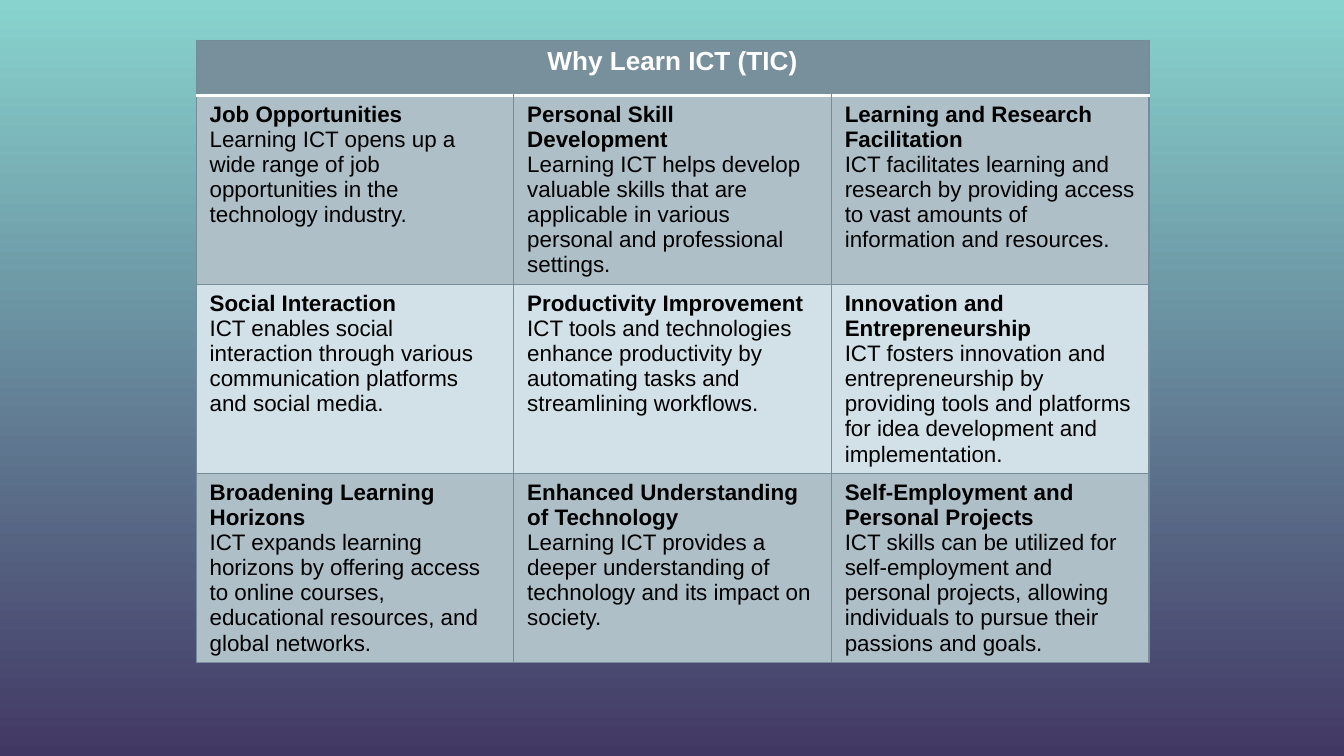
"""Build a slide with a table of reasons to learn ICT."""
from typing import NamedTuple

from lxml import etree
from pptx import Presentation
from pptx import util as u
from pptx.dml.color import RGBColor
from pptx.enum import text
from pptx.oxml import ns

HEADER, BORDER, WHITE, BLACK = "78909C", "748D99", "FFFFFF", "000000"
BANDS = ("AEBFC8", "D2E0E7")
COLUMNS = 3


class Reason(NamedTuple):
    heading: str
    detail: str


REASONS = [
    Reason("Job Opportunities",
           "Learning ICT opens up a wide range of job opportunities in the technology industry."),
    Reason("Personal Skill Development",
           "Learning ICT helps develop valuable skills that are applicable in various "
           "personal and professional settings."),
    Reason("Learning and Research Facilitation",
           "ICT facilitates learning and research by providing access to vast amounts of "
           "information and resources."),
    Reason("Social Interaction",
           "ICT enables social interaction through various communication platforms and social media."),
    Reason("Productivity Improvement",
           "ICT tools and technologies enhance productivity by automating tasks and "
           "streamlining workflows."),
    Reason("Innovation and Entrepreneurship",
           "ICT fosters innovation and entrepreneurship by providing tools and platforms "
           "for idea development and implementation."),
    Reason("Broadening Learning Horizons",
           "ICT expands learning horizons by offering access to online courses, educational "
           "resources, and global networks."),
    Reason("Enhanced Understanding of Technology",
           "Learning ICT provides a deeper understanding of technology and its impact on society."),
    Reason("Self-Employment and Personal Projects",
           "ICT skills can be utilized for self-employment and personal projects, allowing "
           "individuals to pursue their passions and goals."),
]


def rgb(color: str) -> RGBColor:
    return RGBColor.from_string(color)


def add_run(p, words: str, size: float, color: str, bold: bool) -> None:
    r = p.add_run()
    r.text = words
    r.font.name = "Arial"
    r.font.size = u.Pt(size)
    r.font.bold = bold
    r.font.color.rgb = rgb(color)


def style_cell(cell, fill: str, white_side: str = "") -> None:
    cell.fill.solid()
    cell.fill.fore_color.rgb = rgb(fill)
    tc_pr = cell._tc.get_or_add_tcPr()
    for i, side in enumerate("LRTB"):
        color, width = (WHITE, 2) if side == white_side else (BORDER, 0.75)
        ln = etree.Element(ns.qn(f"a:ln{side}"), w=str(u.Pt(width)))
        solid = etree.SubElement(ln, ns.qn("a:solidFill"))
        etree.SubElement(solid, ns.qn("a:srgbClr"), val=color)
        tc_pr.insert(i, ln)


def fill_reason(cell, reason: Reason) -> None:
    tf = cell.text_frame
    add_run(tf.paragraphs[0], reason.heading, 12, BLACK, True)
    add_run(tf.add_paragraph(), reason.detail, 12, BLACK, False)


def set_background(s) -> None:
    fill = s.background.fill
    fill.gradient()
    fill.gradient_angle = 270
    for stop, color, position in zip(fill.gradient_stops, ("88D3CE", "423864"), (0, 1)):
        stop.color.rgb = rgb(color)
        stop.position = position


def add_reason_table(s) -> None:
    rows = 1 + len(REASONS) // COLUMNS
    table = s.shapes.add_table(rows, COLUMNS, u.Inches(1.46), u.Inches(0.3),
                               u.Inches(7.09), u.Inches(4.62)).table
    for i, row in enumerate(table.rows):
        row.height = u.Inches(1.4 if i else 0.41)

    for column in range(COLUMNS):
        style_cell(table.cell(0, column), HEADER, "B")
    header = table.cell(0, 0)
    header.merge(table.cell(0, COLUMNS - 1))
    p = header.text_frame.paragraphs[0]
    p.alignment = text.PP_ALIGN.CENTER
    add_run(p, "Why Learn ICT (TIC)", 14, WHITE, True)

    for i, reason in enumerate(REASONS):
        band, column = divmod(i, COLUMNS)
        cell = table.cell(band + 1, column)
        style_cell(cell, BANDS[band % 2], "" if band else "T")
        fill_reason(cell, reason)


def main() -> None:
    prs = Presentation()
    prs.slide_width = u.Inches(10)
    prs.slide_height = prs.slide_width * 9 // 16
    s = prs.slides.add_slide(prs.slide_layouts[6])
    set_background(s)
    add_reason_table(s)
    prs.save("out.pptx")


if __name__ == "__main__":
    main()
